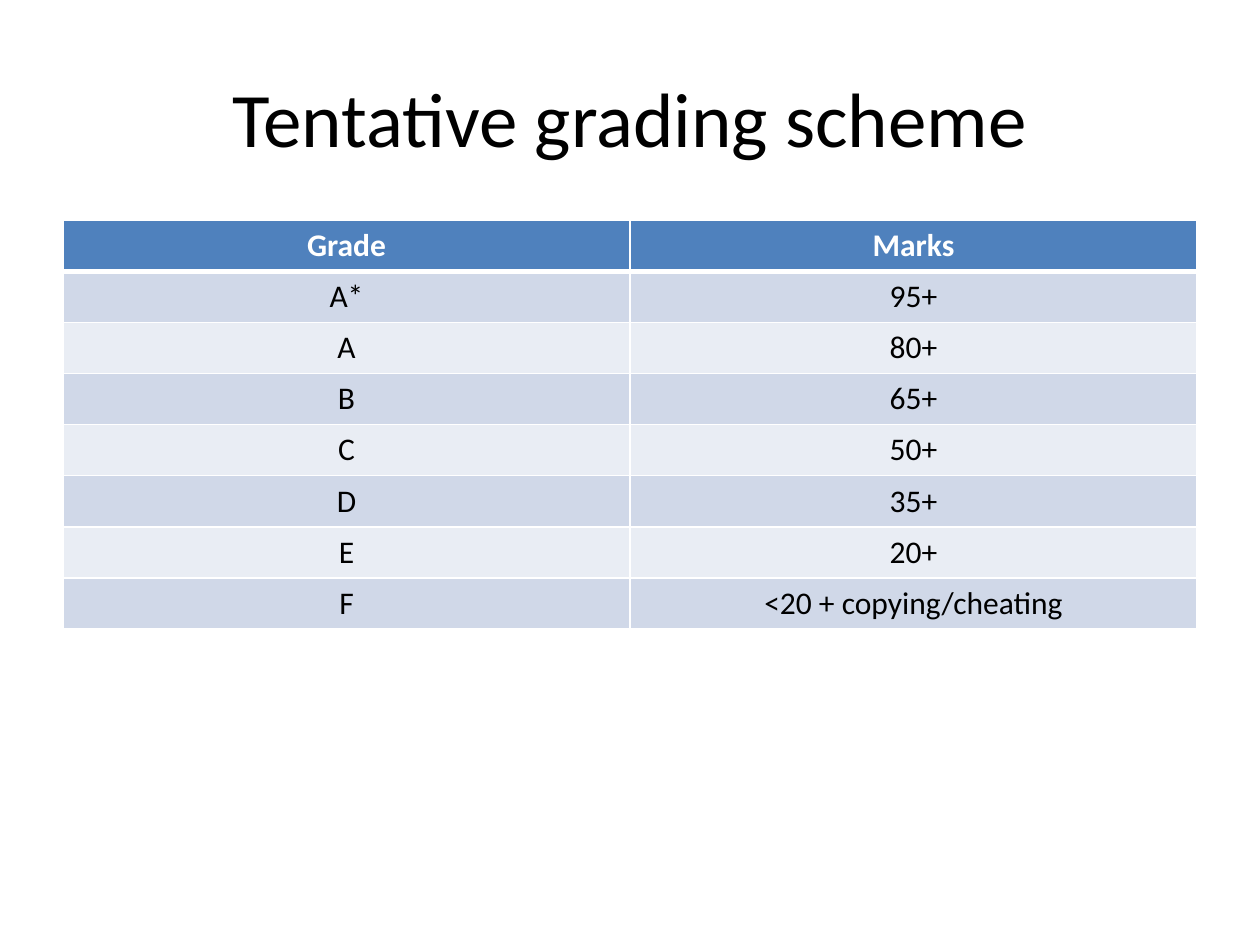
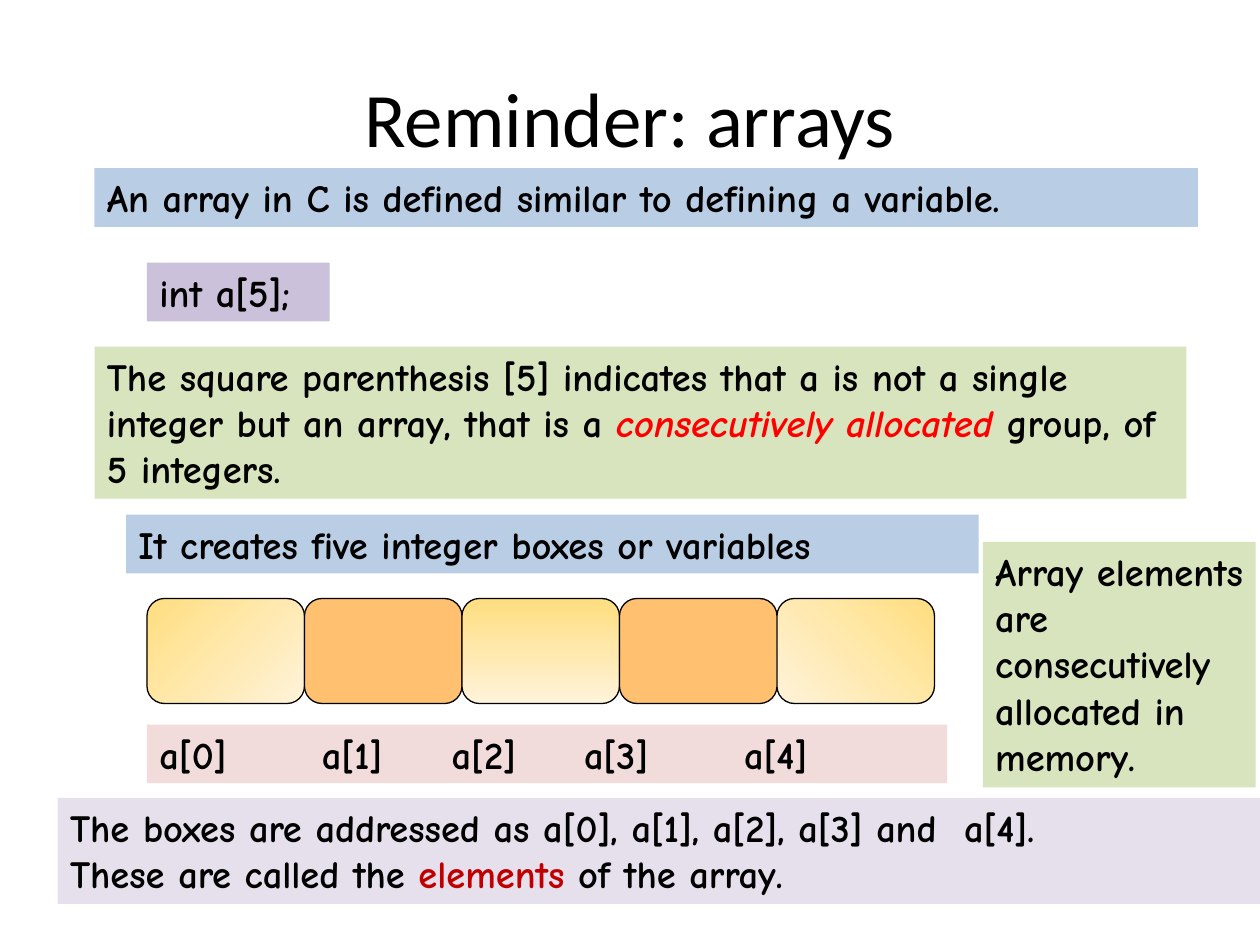
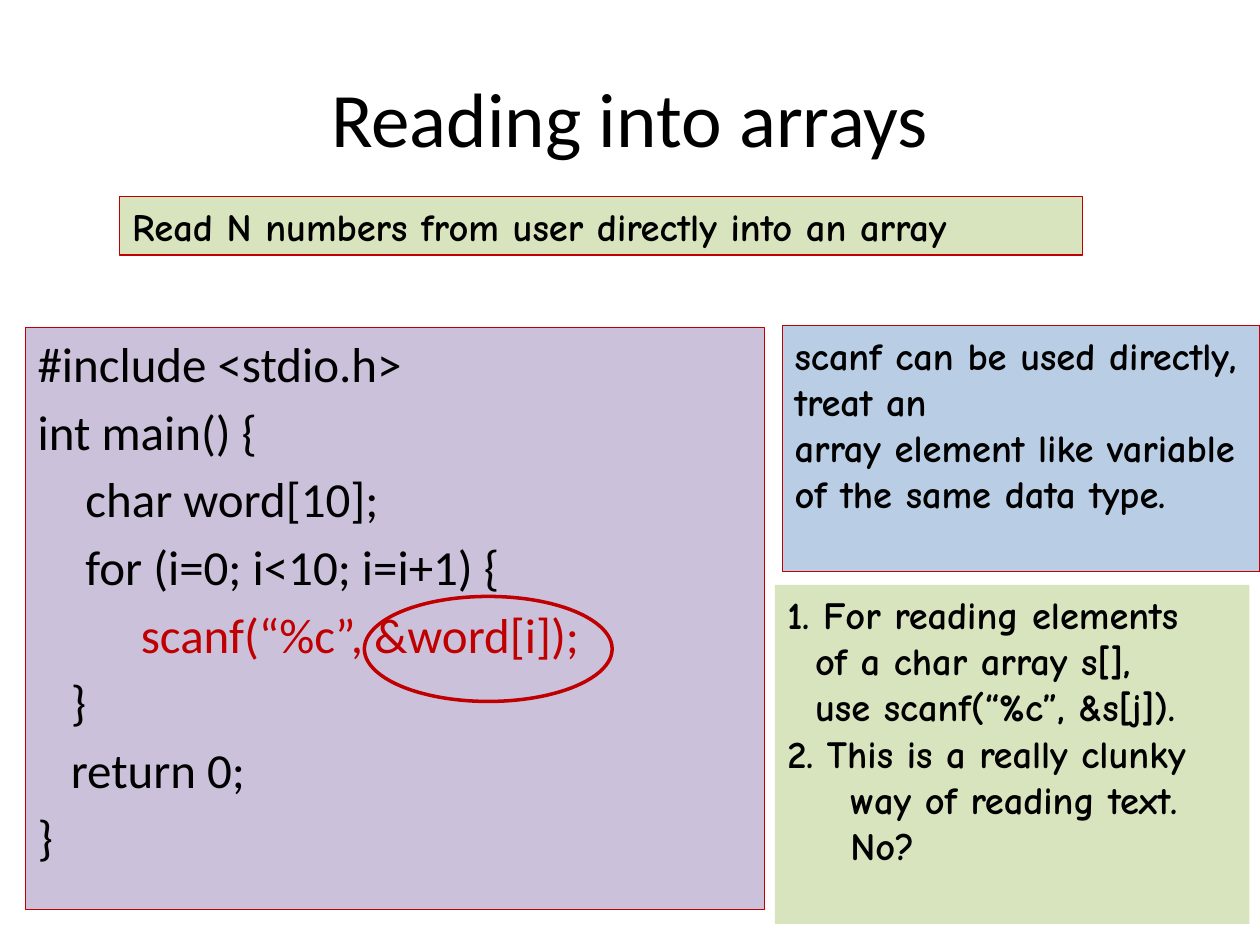
from lxml.etree import SubElement
from pptx import Presentation
from pptx.dml.color import RGBColor
from pptx.enum.shapes import MSO_SHAPE as Preset
from pptx.enum.text import MSO_ANCHOR as Anchor, PP_ALIGN as Align
from pptx.oxml.ns import qn
from pptx.util import Inches, Pt

# Slide grid: 120 columns by 90 rows of square cells
COLUMNS, ROWS = 120, 90
SLIDE_WIDTH, SLIDE_HEIGHT = Inches(10), Inches(7.5)

BLACK = RGBColor(0x00, 0x00, 0x00)
WHITE = RGBColor(0xFF, 0xFF, 0xFF)
RED = RGBColor(0xFF, 0x00, 0x00)
CRIMSON = RGBColor(0xC0, 0x00, 0x00)
BLUE = RGBColor(0xB9, 0xCD, 0xE5)
GREEN = RGBColor(0xD7, 0xE4, 0xBD)
PURPLE = RGBColor(0xCC, 0xC1, 0xDA)
LILAC = RGBColor(0xE6, 0xE0, 0xEC)
PINK = RGBColor(0xF2, 0xDC, 0xDB)
ORANGE = RGBColor(0xFF, 0xC0, 0x70)
YELLOW = RGBColor(0xFF, 0xDE, 0x80)
CREAM = RGBColor(0xFF, 0xF3, 0xDA)
HEADER_BLUE = RGBColor(0x4F, 0x81, 0xBD)
BAND_DARK = RGBColor(0xD0, 0xD8, 0xE8)
BAND_LIGHT = RGBColor(0xE9, 0xED, 0xF4)

BODY_FONT, NOTE_FONT = "Calibri", "Comic Neue"

GRADES = [
    ("Grade", "Marks"), ("A*", "95+"), ("A", "80+"), ("B", "65+"),
    ("C", "50+"), ("D", "35+"), ("E", "20+"), ("F", "<20 + copying/cheating"),
]
CODE = [
    ["#include <stdio.h>"],
    ["int main() {"],
    ["\tchar word[10];"],
    ["\tfor (i=0; i<10; i=i+1) {"],
    [("\t     scanf(“%c”, &word[i]);", CRIMSON, False)],
    ["   }"],
    ["   return 0;"],
    ["}"],
]


def on_grid(column, row, columns, rows):
    """Turn grid cells into left, top, width and height."""
    cell_width, cell_height = SLIDE_WIDTH / COLUMNS, SLIDE_HEIGHT / ROWS
    return (round(column * cell_width), round(row * cell_height),
            round(columns * cell_width), round(rows * cell_height))


def set_font(font, name, size, colour=BLACK, bold=False):
    font.name, font.size, font.bold = name, Pt(size), bold
    font.color.rgb = colour


def set_indent(paragraph, left, first):
    properties = paragraph._p.get_or_add_pPr()
    properties.set("marL", str(Inches(left)))
    properties.set("indent", str(Inches(first)))


def set_tabs(paragraph, stops):
    tab_list = SubElement(paragraph._p.get_or_add_pPr(), qn("a:tabLst"))
    for stop in stops:
        SubElement(tab_list, qn("a:tab"), pos=str(Inches(stop)), algn="l")


def write(frame, lines, name, size, bold=False, align=Align.LEFT, indents=(),
          tabs=(), gap=0):
    """Write lines made of plain strings and (text, colour, italic) parts."""
    frame.word_wrap = True
    for number, line in enumerate(lines):
        paragraph = frame.add_paragraph() if number else frame.paragraphs[0]
        if indents:
            set_indent(paragraph, *indents[number])
        if tabs:
            set_tabs(paragraph, tabs)
        set_font(paragraph.font, name, size, BLACK, bold)
        paragraph.alignment = align
        if number and gap:
            paragraph.space_before = Pt(gap)
        for part in line:
            run = paragraph.add_run()
            if isinstance(part, str):
                run.text = part
            else:
                run.text, run.font.color.rgb, run.font.italic = part


def add_title(slide, text):
    title = slide.shapes.add_textbox(*on_grid(6, 3.6, 108, 15))
    title.text_frame.vertical_anchor = Anchor.MIDDLE
    write(title.text_frame, [[text]], BODY_FONT, 44, align=Align.CENTER)


def add_figure(slide, preset, place, fill=None, outline=None, weight=0.75):
    figure = slide.shapes.add_shape(preset, *on_grid(*place))
    figure.shadow.inherit = False
    if fill is None:
        figure.fill.background()
    else:
        figure.fill.solid()
        figure.fill.fore_color.rgb = fill
    if outline is None:
        figure.line.fill.background()
    else:
        figure.line.color.rgb, figure.line.width = outline, Pt(weight)
    return figure


def add_panel(slide, place, fill, lines, outline=None, name=NOTE_FONT, size=22,
              bold=True, **layout):
    panel = add_figure(slide, Preset.RECTANGLE, place, fill, outline)
    panel.text_frame.vertical_anchor = Anchor.TOP
    write(panel.text_frame, lines, name, size, bold, **layout)


def add_array_boxes(slide, column, row, width, height):
    """Five touching boxes; every other one fades at its own angle."""
    for index, angle in enumerate((45, None, 90, None, 135)):
        box = add_figure(slide, Preset.ROUNDED_RECTANGLE,
                         (column + index * width, row, width, height), ORANGE, BLACK)
        if angle:
            box.fill.gradient()
            box.fill.gradient_angle = 360 - angle
            for stop, colour in zip(box.fill.gradient_stops, (YELLOW, CREAM)):
                stop.color.rgb = colour


def set_borders(cell, bottom):
    properties = cell._tc.get_or_add_tcPr()
    for index, (side, weight) in enumerate(
            (("lnL", 1), ("lnR", 1), ("lnT", 1), ("lnB", bottom))):
        border = properties.makeelement(qn(f"a:{side}"), {"w": str(Pt(weight))})
        solid = SubElement(border, qn("a:solidFill"))
        SubElement(solid, qn("a:srgbClr"), val=str(WHITE))
        properties.insert(index, border)


def add_grade_table(slide, place, rows):
    left, top, width, height = on_grid(*place)
    table = slide.shapes.add_table(len(rows), len(rows[0]), left, top, width, height).table
    for row, values in enumerate(rows):
        header = row == 0
        for column, value in enumerate(values):
            cell = table.cell(row, column)
            cell.fill.solid()
            cell.fill.fore_color.rgb = (
                HEADER_BLUE if header else BAND_DARK if row % 2 else BAND_LIGHT)
            set_borders(cell, 3 if header else 1)
            cell.text = value
            paragraph = cell.text_frame.paragraphs[0]
            paragraph.alignment = Align.CENTER
            set_font(paragraph.font, BODY_FONT, 18, WHITE if header else BLACK, header)


def build_grading(slide):
    add_title(slide, "Tentative grading scheme")
    add_grade_table(slide, (6, 21, 108, 38.9), GRADES)


def build_reminder(slide):
    add_title(slide, "Reminder: arrays")
    # Definition
    add_panel(slide, (9, 16, 105.1, 5.6), BLUE,
              [["An array in C is defined similar to defining a variable."]])
    add_panel(slide, (14, 25, 17.4, 5.6), PURPLE, [["int a[5];"]])
    add_panel(slide, (9, 33, 104, 14.5), GREEN, [[
        "The square parenthesis [5] indicates that a is not a single integer "
        "but an array, that is a ",
        ("consecutively allocated", RED, True),
        " group, of 5 integers."]])
    # Boxes and their names
    add_panel(slide, (12, 49, 81.2, 5.6), BLUE,
              [["It creates five integer boxes or variables"]])
    add_panel(slide, (5.5, 76, 114.5, 10.1), LILAC, [
        ["The boxes are addressed as a[0], a[1], a[2], a[3] and  a[4]."],
        ["These are called the ", ("elements", CRIMSON, False), " of the array."]])
    add_array_boxes(slide, 14, 57, 15, 10)
    add_panel(slide, (14, 69, 76.2, 5.6), PINK,
              [["\t".join(f"a[{index}]" for index in range(5))]],
              tabs=(1.29, 2.32, 3.37, 4.64))
    add_panel(slide, (93.6, 51.6, 26, 23.4), GREEN,
              [["Array elements are consecutively allocated in memory."]])


def build_reading(slide):
    add_title(slide, "Reading into arrays")
    # Program with its argument ringed
    add_panel(slide, (2.4, 31.2, 70.4, 55.4), PURPLE, CODE, CRIMSON, BODY_FONT, 28,
              False, indents=[(0.38, -0.38)] * len(CODE), gap=5)
    add_panel(slide, (11.4, 18.7, 91.7, 5.6), GREEN,
              [["Read N numbers from user directly into an array"]], CRIMSON)
    add_figure(slide, Preset.OVAL, (34.7, 56.8, 23.6, 10), outline=CRIMSON, weight=2)
    # Remarks
    add_panel(slide, (74.5, 31, 45.5, 23.4), BLUE, [
        ["scanf can be used directly, treat an"],
        ["array element like variable of the same data type."]], CRIMSON)
    add_panel(slide, (73.8, 55.7, 45.2, 32.3), GREEN, [
        ["1. For reading elements"],
        ["of a char array s[],"],
        ["use scanf(“%c”, &s[j])."],
        ["2. This is a really clunky way of reading text. No?"]],
        indents=[(0.5, -0.5), (0.22, 0), (0.22, 0), (0.5, -0.5)])


def main():
    deck = Presentation()
    deck.slide_width, deck.slide_height = SLIDE_WIDTH, SLIDE_HEIGHT
    blank = deck.slide_layouts[6]
    for build in (build_grading, build_reminder, build_reading):
        build(deck.slides.add_slide(blank))
    deck.save("out.pptx")


if __name__ == "__main__":
    main()
